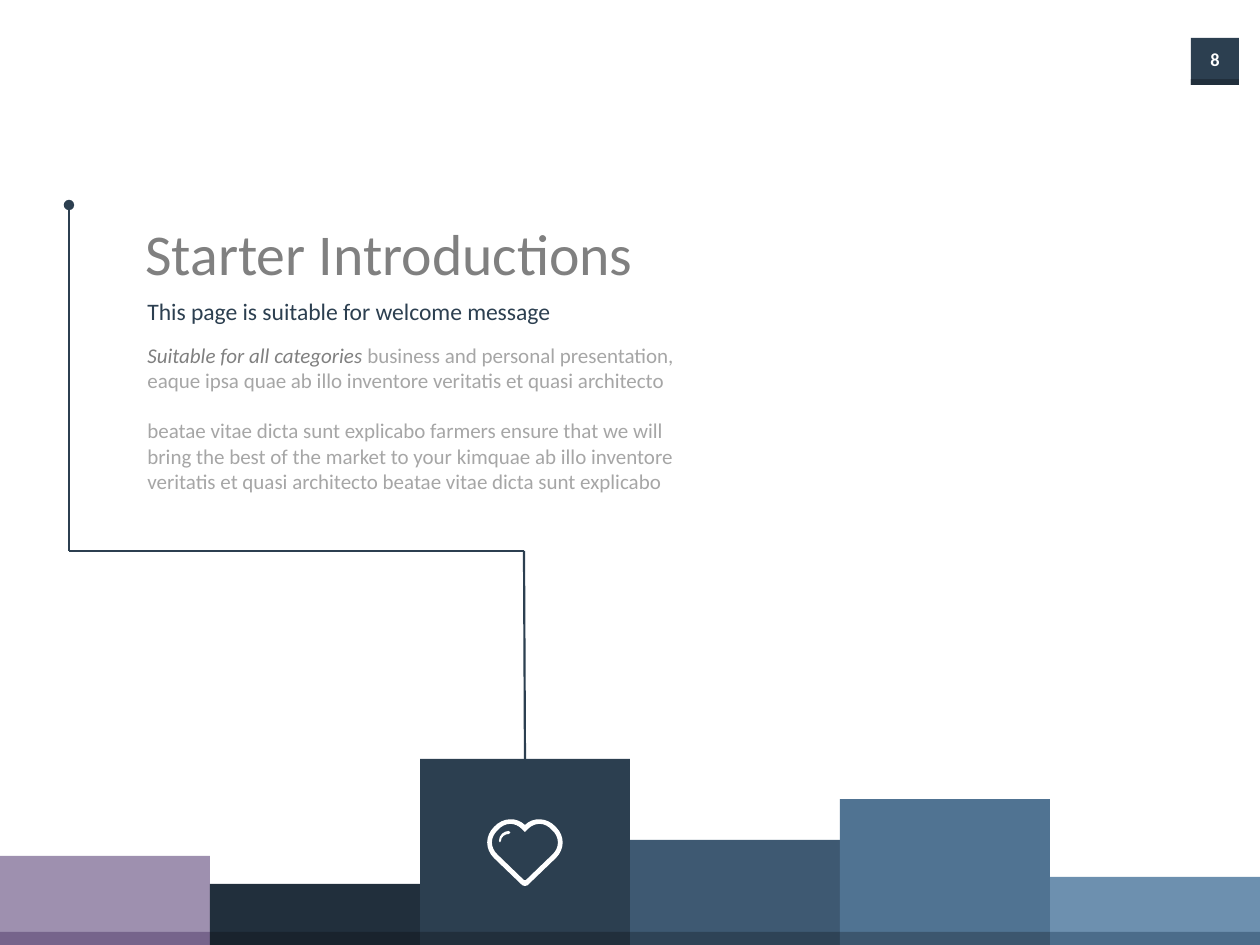
from pptx import Presentation
from pptx.dml.color import RGBColor
from pptx.enum.shapes import MSO_CONNECTOR as CONN, MSO_SHAPE as SHAPE
from pptx.enum.text import MSO_AUTO_SIZE as FIT, PP_ALIGN as ALIGN
from pptx.oxml.ns import qn
from pptx.util import Emu, Pt
from lxml import etree

SCALE = 914400 / 126
WIDTH, HEIGHT = 1260, 945

NAVY = RGBColor(0x2C, 0x3F, 0x50)
NAVY_DARK = RGBColor(0x21, 0x2F, 0x3C)
WHITE = RGBColor(0xFF, 0xFF, 0xFF)
GREY = RGBColor(0x80, 0x80, 0x80)
GREY_LIGHT = RGBColor(0xA6, 0xA6, 0xA6)

# Top edge, column colour, base strip colour
COLUMNS = [
    (856, RGBColor(0x9E, 0x90, 0xAF), RGBColor(0x76, 0x64, 0x8B)),
    (884, NAVY_DARK, RGBColor(0x19, 0x23, 0x2D)),
    (759, NAVY, NAVY_DARK),
    (840, RGBColor(0x3E, 0x59, 0x72), RGBColor(0x2E, 0x43, 0x56)),
    (799, RGBColor(0x50, 0x73, 0x92), RGBColor(0x3C, 0x56, 0x6E)),
    (877, RGBColor(0x6D, 0x90, 0xAF), RGBColor(0x4B, 0x6C, 0x8A)),
]
COLUMN_W = WIDTH // len(COLUMNS)
STRIP_TOP = 932
HEART_COLUMN = 2

# Contours: a start point, then lines (2 numbers) or cubic curves (6 numbers)
HEART = [
    [(556, 827), (547, 817, 533, 817, 525, 825), (517, 817, 503, 817, 494, 827),
     (485, 836, 485, 849, 494, 858), (520, 883), (523, 887, 527, 887, 530, 883),
     (556, 858), (565, 849, 565, 836, 556, 827)],
    [(552, 855), (526, 880), (524, 880), (498, 855),
     (490, 848, 490, 837, 498, 830), (505, 822, 515, 822, 522, 829),
     (525, 832), (528, 829), (535, 822, 545, 822, 552, 830),
     (560, 837, 560, 848, 552, 855)],
]
GLINT = [
    [(509, 831), (504, 831, 499, 835, 499, 841), (499, 843, 501, 843, 501, 841),
     (501, 837, 505, 834, 509, 834), (511, 834, 511, 831, 509, 831)],
]


def px(n):
    return Emu(round(n * SCALE))


class Deck:
    font = "Calibri"
    line_width = Pt(1.25)

    def __init__(self):
        self.prs = Presentation()
        self.prs.slide_width, self.prs.slide_height = px(WIDTH), px(HEIGHT)
        self.s = self.prs.slides.add_slide(self.prs.slide_layouts[6])

    def paint(self, sp, color):
        sp.shadow.inherit = False
        sp.fill.solid()
        sp.fill.fore_color.rgb = color
        sp.line.fill.background()
        return sp

    def rect(self, x, y, w, h, color):
        sp = self.s.shapes.add_shape(SHAPE.RECTANGLE, px(x), px(y), px(w), px(h))
        return self.paint(sp, color)

    def outline(self, x, y, w, h, contours, color):
        """Fill contours with true curves inside the given bounds."""
        builder = self.s.shapes.build_freeform(px(x), px(y), scale=1.0)
        builder.add_line_segments([(px(x + w), px(y)), (px(x + w), px(y + h))])
        sp = builder.convert_to_shape()
        path = next(sp._element.iter(qn("a:path")))
        for child in list(path):
            path.remove(child)
        for contour in contours:
            for i, seg in enumerate(contour):
                tag = "a:moveTo" if i == 0 else "a:lnTo" if len(seg) == 2 else "a:cubicBezTo"
                step = etree.SubElement(path, qn(tag))
                for px_x, px_y in zip(seg[::2], seg[1::2]):
                    etree.SubElement(step, qn("a:pt"),
                                     x=str(px(px_x - x)), y=str(px(px_y - y)))
            etree.SubElement(path, qn("a:close"))
        return self.paint(sp, color)

    def group(self, shapes):
        return self.s.shapes.add_group_shape(shapes)

    def line(self, x1, y1, x2, y2, color, dot=False):
        cn = self.s.shapes.add_connector(CONN.STRAIGHT, px(x1), px(y1), px(x2), px(y2))
        cn.line.color.rgb = color
        cn.line.width = self.line_width
        if dot:
            etree.SubElement(cn.line._get_or_add_ln(), qn("a:headEnd"), type="oval")
        etree.SubElement(cn._element.spPr, qn("a:effectLst"))
        return cn

    def text(self, x, y, w, h, paragraphs, wrap=False, align=ALIGN.LEFT, gap=0):
        """Each paragraph is a list of (text, size, colour, extra font values)."""
        tf = self.s.shapes.add_textbox(px(x), px(y), px(w), px(h)).text_frame
        tf.word_wrap = wrap
        tf.auto_size = FIT.SHAPE_TO_FIT_TEXT
        for i, runs in enumerate(paragraphs):
            p = tf.add_paragraph() if i else tf.paragraphs[0]
            p.alignment = align
            if i:
                p.space_before = Pt(gap)
            for words, size, color, extra in runs:
                r = p.add_run()
                r.text = words
                r.font.color.rgb = color
                for name, value in {"name": self.font, "size": Pt(size), **extra}.items():
                    setattr(r.font, name, value)

    def save(self):
        self.prs.save("out.pptx")


def main():
    deck = Deck()

    deck.rect(1191, 38, 48, 47, NAVY)
    deck.rect(1191, 79, 48, 6, NAVY_DARK)
    deck.text(1191, 42, 48, 35, [[("8", 10.5, WHITE, {"bold": True})]],
              align=ALIGN.CENTER)

    deck.text(135, 291, 435, 42,
              [[("This page is suitable for welcome message", 13.5, NAVY, {})]])
    deck.text(133, 212, 517, 83, [[("Starter Introductions", 33, GREY, {})]])
    deck.text(135, 336, 583, 165, [
        [("Suitable for all categories ", 12, GREY, {"italic": True}),
         ("business and personal presentation, eaque ipsa quae ab illo inventore "
          "veritatis et quasi architecto", 12, GREY_LIGHT, {})],
        [("beatae vitae dicta sunt explicabo farmers ensure that we will bring the "
          "best of the market to your kimquae ab illo inventore veritatis et quasi "
          "architecto beatae vitae dicta sunt explicabo", 12, GREY_LIGHT, {})],
    ], wrap=True, gap=14.5)

    columns = [deck.rect(i * COLUMN_W, top, COLUMN_W, HEIGHT - top, color)
               for i, (top, color, _) in enumerate(COLUMNS)]
    deck.group([deck.rect(i * COLUMN_W, STRIP_TOP, COLUMN_W, HEIGHT - STRIP_TOP, strip)
                for i, (_, _, strip) in enumerate(COLUMNS)])

    deck.group([deck.outline(487, 819, 76, 67, HEART, WHITE),
                deck.outline(499, 831, 12, 12, GLINT, WHITE)])

    deck.line(69, 551, 524, 551, NAVY)
    stem = deck.line(524, 551, 525, COLUMNS[HEART_COLUMN][0], NAVY)
    stem.end_connect(columns[HEART_COLUMN], 0)
    deck.line(69, 205, 69, 551, NAVY, dot=True)

    deck.save()


if __name__ == "__main__":
    main()
